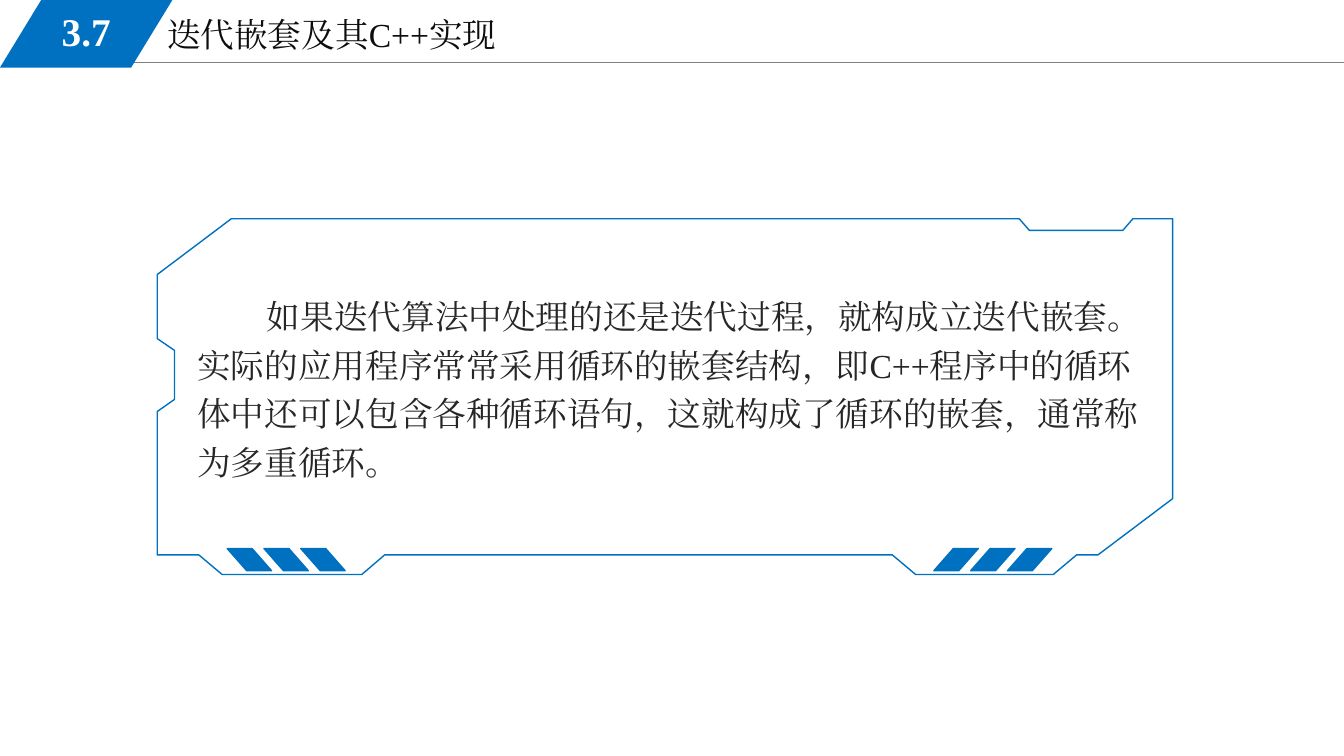
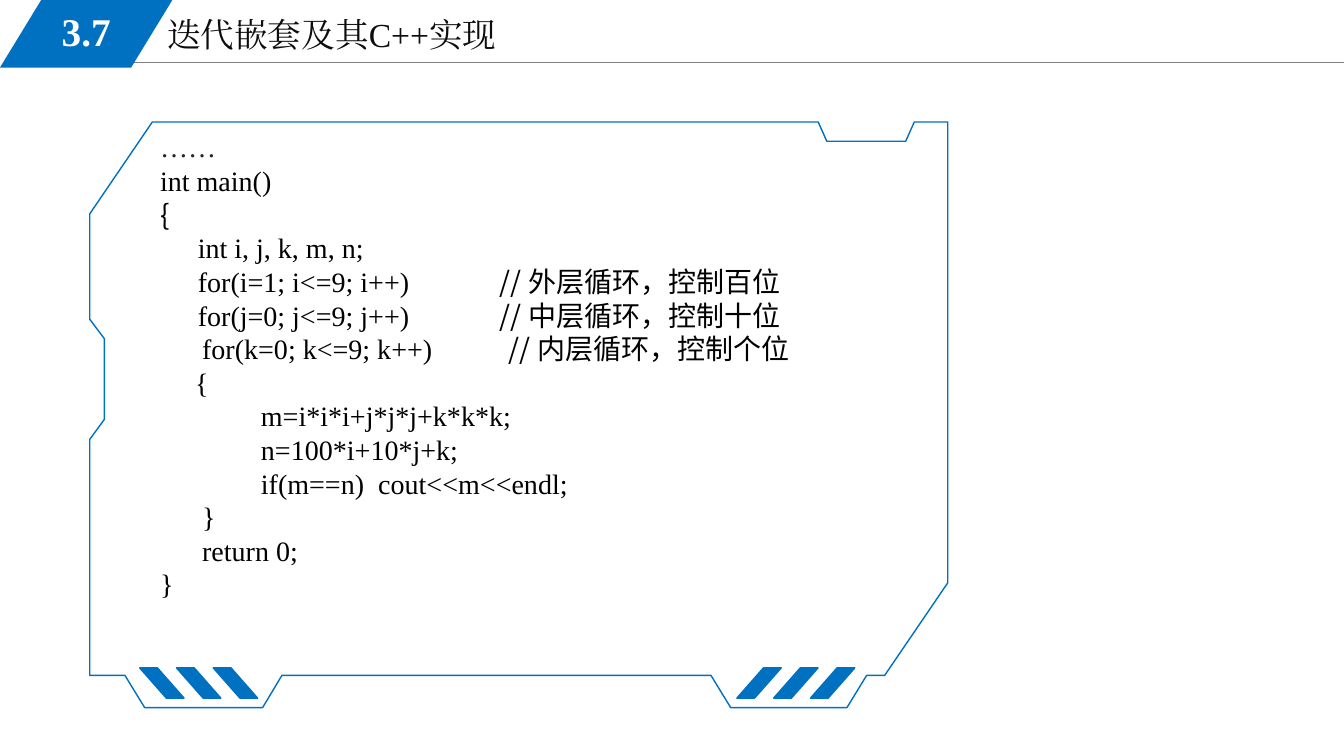
from lxml import etree
from pptx import Presentation
from pptx.dml.color import RGBColor
from pptx.enum.shapes import MSO_CONNECTOR, MSO_SHAPE
from pptx.enum.text import MSO_ANCHOR, PP_ALIGN
from pptx.oxml.ns import qn
from pptx.util import Inches, Pt

STRAIGHT = MSO_CONNECTOR.STRAIGHT
PARALLELOGRAM = MSO_SHAPE.PARALLELOGRAM
TOP, MIDDLE = MSO_ANCHOR.TOP, MSO_ANCHOR.MIDDLE
LEFT, CENTER = PP_ALIGN.LEFT, PP_ALIGN.CENTER

BLUE, GREY, WHITE = "0070C0", "808080", "FFFFFF"
TITLE_INK, BODY_INK, CODE_INK = "0D0D0D", "262626", "000000"
SERIF, SANS = "Times New Roman", "Noto Sans CJK SC"

# Frame corners in percent of the frame's width and height
FRAME_OUTLINE = [
    (0, 15.7), (7.3, 0), (84.9, 0), (85.9, 3.3), (95.1, 3.3), (96.1, 0),
    (100, 0), (100, 78.7), (92.65, 94.5), (90.55, 94.5), (88.25, 100),
    (74.7, 100), (72.4, 94.5), (22.4, 94.5), (20.15, 100), (6.4, 100),
    (4.1, 94.5), (0, 94.5), (0, 54.2), (1.7, 50.8), (1.7, 37), (0, 33.7),
]
# Centre of each stripe group in percent of the width, and whether it is mirrored
STRIPE_GROUPS = [(12.7, True), (82.3, False)]
STRIPE_LEVEL = 95.8


def color(value):
    return RGBColor.from_string(value)


def grid(*cells):
    """Columns and rows of the slide grid, ten to the inch."""
    return [Inches(cell / 10) for cell in cells]


class Deck:
    def __init__(self):
        self.prs = Presentation()
        self.prs.slide_width, self.prs.slide_height = Inches(13.33), Inches(7.5)
        self.shapes = None

    def new_slide(self, number, title):
        self.shapes = self.prs.slides.add_slide(self.prs.slide_layouts[6]).shapes
        self.rule(11.3, 6.2, 133.3)
        self.text((15.6, 0.9, 56.7, 5.1), [[(title, SERIF, TITLE_INK)]], 24)
        self.slanted((0, 0, 17.1, 6.7), 0.61)
        self.text((2.5, 0.2, 12.1, 5.8), [[(number, SERIF, WHITE)]], 28,
                  bold=True, align=CENTER, anchor=MIDDLE)

    def rule(self, start, row, end):
        rule = self.shapes.add_connector(STRAIGHT, *grid(start, row, end, row))
        rule.line.color.rgb = color(GREY)
        rule.line.width = Pt(0.75)
        etree.SubElement(rule._element.spPr, qn("a:effectLst"))

    def slanted(self, box, slant, mirrored=False, outlined=False):
        slanted = self.shapes.add_shape(PARALLELOGRAM, *grid(*box))
        slanted.adjustments[0] = slant
        slanted.shadow.inherit = False
        slanted.fill.solid()
        slanted.fill.fore_color.rgb = color(BLUE)
        if outlined:
            self.outline(slanted)
        else:
            slanted.line.fill.background()
        if mirrored:
            slanted._element.spPr.xfrm.set("flipH", "1")

    def outline(self, shape):
        shape.line.color.rgb = color(BLUE)
        shape.line.width = Pt(1)

    def frame(self, left, top, width, height, stripe_height):
        corners = [grid(left + width * x / 100, top + height * y / 100)
                   for x, y in FRAME_OUTLINE]
        builder = self.shapes.build_freeform(*corners[0])
        builder.add_line_segments(corners[1:], close=True)
        border = builder.convert_to_shape()
        border.shadow.inherit = False
        border.fill.background()
        self.outline(border)

        stripe_width, pitch = 4.4, 3.65
        stripe_top = top + height * STRIPE_LEVEL / 100 - stripe_height / 2
        for centre, mirrored in STRIPE_GROUPS:
            for step in (-1, 0, 1):
                stripe_left = left + width * centre / 100 + step * pitch - stripe_width / 2
                self.slanted((stripe_left, stripe_top, stripe_width, stripe_height),
                             0.88, mirrored, outlined=True)

    def text(self, box, paragraphs, size, bold=False, align=LEFT, anchor=TOP,
             spacing=None, indent=0, tabs=None):
        frame = self.shapes.add_textbox(*grid(*box)).text_frame
        frame.word_wrap = True
        frame.vertical_anchor = anchor
        for index, runs in enumerate(paragraphs):
            paragraph = frame.paragraphs[0] if index == 0 else frame.add_paragraph()
            paragraph.alignment = align
            if spacing:
                paragraph.line_spacing = Pt(spacing)
            properties = paragraph._p.get_or_add_pPr()
            if indent:
                properties.set("indent", str(Inches(indent)))
            if tabs and index in tabs:
                stops = etree.SubElement(properties, qn("a:tabLst"))
                etree.SubElement(stops, qn("a:tab"), pos=str(Inches(tabs[index])), algn="l")
            for words, font, ink in runs:
                self.run(paragraph, words, font, ink, size, bold)

    def run(self, paragraph, words, font, ink, size, bold):
        run = paragraph.add_run()
        run.text = words
        run.font.name, run.font.size, run.font.bold = font, Pt(size), bold
        run.font.color.rgb = color(ink)
        etree.SubElement(run._r.get_or_add_rPr(), qn("a:ea"), typeface=font)


SECTION = ("3.7", "迭代嵌套及其C++实现")

NESTING = (
    "如果迭代算法中处理的还是迭代过程，就构成立迭代嵌套。"
    "实际的应用程序常常采用循环的嵌套结构，即C++程序中的循环体中还可以包含各种循环语句，"
    "这就构成了循环的嵌套，通常称为多重循环。"
)


def code(*runs):
    return [(words, font, CODE_INK) for words, font in runs]


PROGRAM = [
    [("……", SERIF, BODY_INK)],
    code(("int main()", SERIF)),
    code(("{", SANS)),
    code(("      ", SANS), ("int i, j, k, m, n;", SERIF)),
    code(("      ", SANS), ("for(i=1; i<=9; i++)\t", SERIF), ("// 外层循环，控制百位", SANS)),
    code(("      ", SANS), ("for(j=0; j<=9; j++)\t", SERIF), ("// 中层循环，控制十位", SANS)),
    code(("      for(k=0; k<=9; k++)\t", SERIF), ("// 内层循环，控制个位", SANS)),
    *[code((line, SERIF)) for line in (
        "     {",
        "\tm=i*i*i+j*j*j+k*k*k;",
        "\tn=100*i+10*j+k;",
        "\tif(m==n)  cout<<m<<endl;",
        "      }",
        "      return 0;",
        "}",
    )],
]
COMMENT_TABS = {4: 3.37, 5: 3.37, 6: 3.46}
STATEMENT_TABS = {8: 1, 9: 1, 10: 1}


def main():
    deck = Deck()

    # Nested iteration explained
    deck.new_slide(*SECTION)
    deck.text((18.6, 28.1, 96.7, 20.4), [[(NESTING, SERIF, BODY_INK)]], 24,
              spacing=34.6, indent=0.69)
    deck.frame(15.6, 21.7, 100.7, 35.3, stripe_height=2.2)

    # Nested loops in code
    deck.new_slide(*SECTION)
    deck.text((14.9, 12.4, 75.4, 47.6), PROGRAM, 20, spacing=24,
              tabs={**COMMENT_TABS, **STATEMENT_TABS})
    deck.frame(8.9, 12.1, 85.1, 58.1, stripe_height=3)

    deck.prs.save("out.pptx")


if __name__ == "__main__":
    main()
